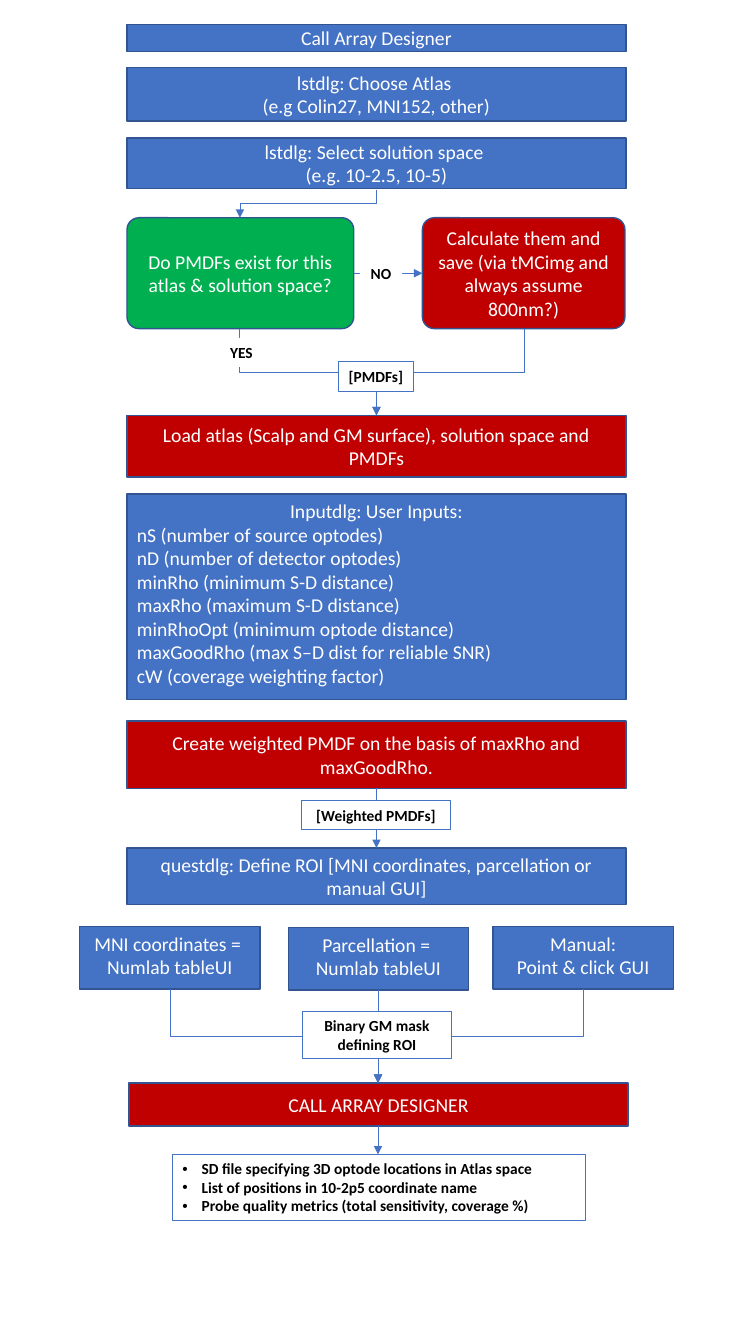
from lxml.etree import SubElement
from pptx import Presentation
from pptx.dml.color import RGBColor
from pptx.enum.shapes import MSO_CONNECTOR, MSO_SHAPE
from pptx.enum.text import MSO_ANCHOR, MSO_AUTO_SIZE, PP_ALIGN
from pptx.oxml.ns import qn
from pptx.util import Inches, Pt

BLUE = RGBColor(0x44, 0x72, 0xC4)
EDGE = RGBColor(0x32, 0x54, 0x91)
RED = RGBColor(0xC0, 0x00, 0x00)
GREEN = RGBColor(0x00, 0xB0, 0x50)
WHITE = RGBColor(0xFF, 0xFF, 0xFF)
BLACK = RGBColor(0x00, 0x00, 0x00)

LEFT, WIDTH = 1.26, 4.95
MID = LEFT + WIDTH / 2
YES_X, NO_X = 2.38, 5.2
ROI_W, ROI_MID = 1.79, 3.75
STEP = {"size": Pt(14), "bold": False, "name": "Calibri"}
NOTE = {"size": Pt(11), "bold": True, "name": "Calibri"}

prs = Presentation()
prs.slide_width, prs.slide_height = Inches(7.5), Inches(13.33)
s = prs.slides.add_slide(prs.slide_layouts[1])
title, body = s.placeholders


def style(sp, at, text, fill, line, font, color, align=PP_ALIGN.CENTER, anchor=MSO_ANCHOR.MIDDLE):
    sp.left, sp.top, sp.width, sp.height = map(Inches, at)
    sp.fill.solid()
    sp.fill.fore_color.rgb = fill
    if line:
        sp.line.color.rgb, sp.line.width = line
    else:
        sp.line.fill.background()
    tf = sp.text_frame
    tf.text = text
    frame = {"word_wrap": at[2] > 1, "auto_size": MSO_AUTO_SIZE.NONE, "vertical_anchor": anchor}
    for key, value in frame.items():
        setattr(tf, key, value)
    for p in tf.paragraphs:
        p.alignment, p.space_before = align, Pt(0)
        for r in p.runs:
            r.font.color.rgb = color
            for key, value in font.items():
                setattr(r.font, key, value)


def arrow(x1, y1, x2, y2):
    if x1 == x2 or y1 == y2:
        c = s.shapes.add_connector(MSO_CONNECTOR.STRAIGHT, *map(Inches, (x1, y1, x2, y2)))
    else:
        cx, cy = (x1 + x2) / 2, (y1 + y2) / 2
        dx, dy = abs(x2 - x1) / 2, (y2 - y1) / 2
        side = 1 if x2 > x1 else -1
        ends = cx + side * dy, cy - dx, cx - side * dy, cy + dx
        c = s.shapes.add_connector(MSO_CONNECTOR.ELBOW, *map(Inches, ends))
        c._element.spPr.find(qn("a:xfrm")).set("rot", str((270 if side > 0 else 90) * 60000))
    c.line.color.rgb, c.line.width = BLUE, Pt(0.5)
    SubElement(c.line._get_or_add_ln(), qn("a:tailEnd"), type="triangle")
    SubElement(c._element.spPr, qn("a:effectLst"))


style(title, (LEFT, 0.24, WIDTH, 0.27), "Call Array Designer", BLUE, (EDGE, Pt(1)), STEP, WHITE)

steps = [
    (LEFT, 0.67, 0.53, BLUE, "lstdlg: Choose Atlas \v(e.g Colin27, MNI152, other)"),
    (LEFT, 1.37, 0.5, BLUE, "lstdlg: Select solution space \v(e.g. 10-2.5, 10-5)"),
    (LEFT, 4.12, 0.61, RED, "Load atlas (Scalp and GM surface), solution space and PMDFs"),
    (LEFT, 7.15, 0.67, RED, "Create weighted PMDF on the basis of maxRho and maxGoodRho."),
    (LEFT, 8.41, 0.56, BLUE, "questdlg: Define ROI [MNI coordinates, parcellation or manual GUI]"),
    (1.28, 10.74, 0.43, RED, "CALL ARRAY DESIGNER"),
]
for x, y, h, fill, text in steps:
    sp = s.shapes.add_shape(MSO_SHAPE.RECTANGLE, 0, 0, 0, 0)
    sp.shadow.inherit = False
    style(sp, (x, y, WIDTH, h), text, fill, (EDGE, Pt(1)), STEP, WHITE)

branches = [
    (LEFT, 2.25, GREEN, "Do PMDFs exist for this atlas & solution space?"),
    (4.19, 2.01, RED, "Calculate them and save (via tMCimg and always assume 800nm?)"),
]
for x, w, fill, text in branches:
    sp = s.shapes.add_shape(MSO_SHAPE.ROUNDED_RECTANGLE, 0, 0, 0, 0)
    sp.shadow.inherit = False
    sp.adjustments[0] = 0.108
    style(sp, (x, 2.16, w, 1.1), text, fill, (EDGE, Pt(1)), STEP, WHITE)

inputs = """Inputdlg: User Inputs:
nS (number of source optodes)
nD (number of detector optodes)
minRho (minimum S-D distance)
maxRho (maximum S-D distance)\vminRhoOpt (minimum optode distance)
maxGoodRho (max S–D dist for reliable SNR)
cW (coverage weighting factor)"""
sp = s.shapes.add_shape(MSO_SHAPE.RECTANGLE, 0, 0, 0, 0)
sp.shadow.inherit = False
style(sp, (LEFT, 4.9, WIDTH, 2.04), inputs, BLUE, (EDGE, Pt(1)), STEP, WHITE,
      PP_ALIGN.LEFT, MSO_ANCHOR.TOP)
sp.text_frame.paragraphs[0].alignment = PP_ALIGN.CENTER

rois = [
    (0.79, 9.19, "MNI coordinates = \nNumlab tableUI"),
    (2.86, 9.2, "Parcellation = \nNumlab tableUI"),
    (4.89, 9.19, "Manual:\nPoint & click GUI"),
]
for x, y, text in rois:
    sp = s.shapes.add_shape(MSO_SHAPE.RECTANGLE, 0, 0, 0, 0)
    sp.shadow.inherit = False
    style(sp, (x, y, ROI_W, 0.62), text, BLUE, (EDGE, Pt(1)), STEP, WHITE, anchor=MSO_ANCHOR.TOP)
    arrow(ROI_MID if x == 2.86 else x + ROI_W / 2, y + 0.62, ROI_MID, 10.74)

for ends in [
    (MID, 1.88, YES_X, 2.16),
    (3.51, 2.71, 4.19, 2.71),
    (YES_X, 3.26, MID, 4.12),
    (NO_X, 3.26, MID, 4.12),
    (MID, 7.82, MID, 8.41),
    (ROI_MID, 11.17, ROI_MID, 11.45),
]:
    arrow(*ends)

labels = [
    (2.17, 3.35, 0.45, 0.29, None, "YES"),
    (3.57, 2.57, 0.42, 0.29, None, "NO"),
    (3.36, 3.59, 0.74, 0.29, (BLUE, Pt(0.75)), "[PMDFs]"),
    (2.99, 7.94, 1.48, 0.29, (BLUE, Pt(0.75)), "[Weighted PMDFs]"),
    (3, 10.03, 1.48, 0.47, (BLUE, Pt(0.75)), "Binary GM mask defining ROI"),
]
for *at, line, text in labels:
    sp = s.shapes.add_shape(MSO_SHAPE.RECTANGLE, 0, 0, 0, 0)
    sp.shadow.inherit = False
    style(sp, at, text, WHITE, line, NOTE, BLACK)

outputs = """SD file specifying 3D optode locations in Atlas space
List of positions in 10-2p5 coordinate name
Probe quality metrics (total sensitivity, coverage %)"""
style(body, (1.71, 11.45, 4.1, 0.66), outputs, WHITE, (BLUE, Pt(0.75)), NOTE, BLACK,
      PP_ALIGN.LEFT, MSO_ANCHOR.TOP)
for p in body.text_frame.paragraphs:
    pPr = p._p.get_or_add_pPr()
    pPr.set("marL", str(Inches(0.19)))
    pPr.set("indent", str(-Inches(0.19)))

prs.save("out.pptx")
